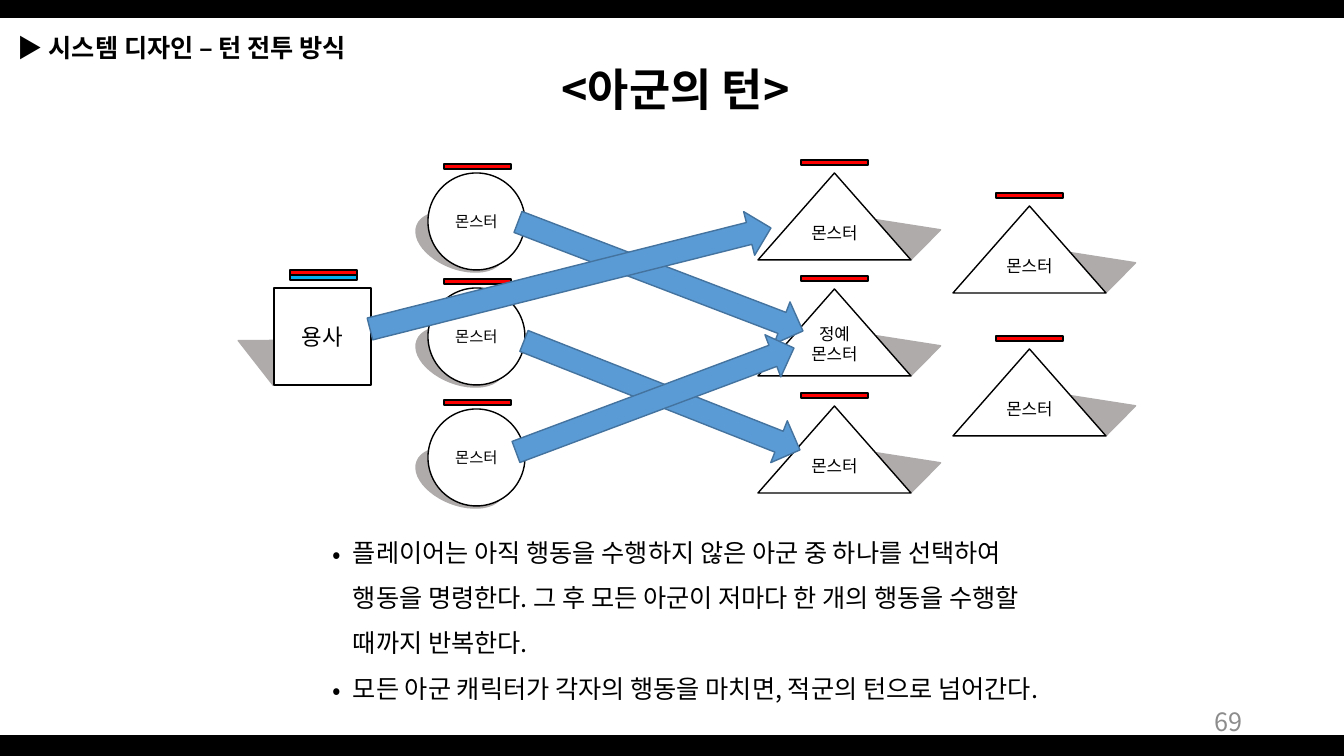
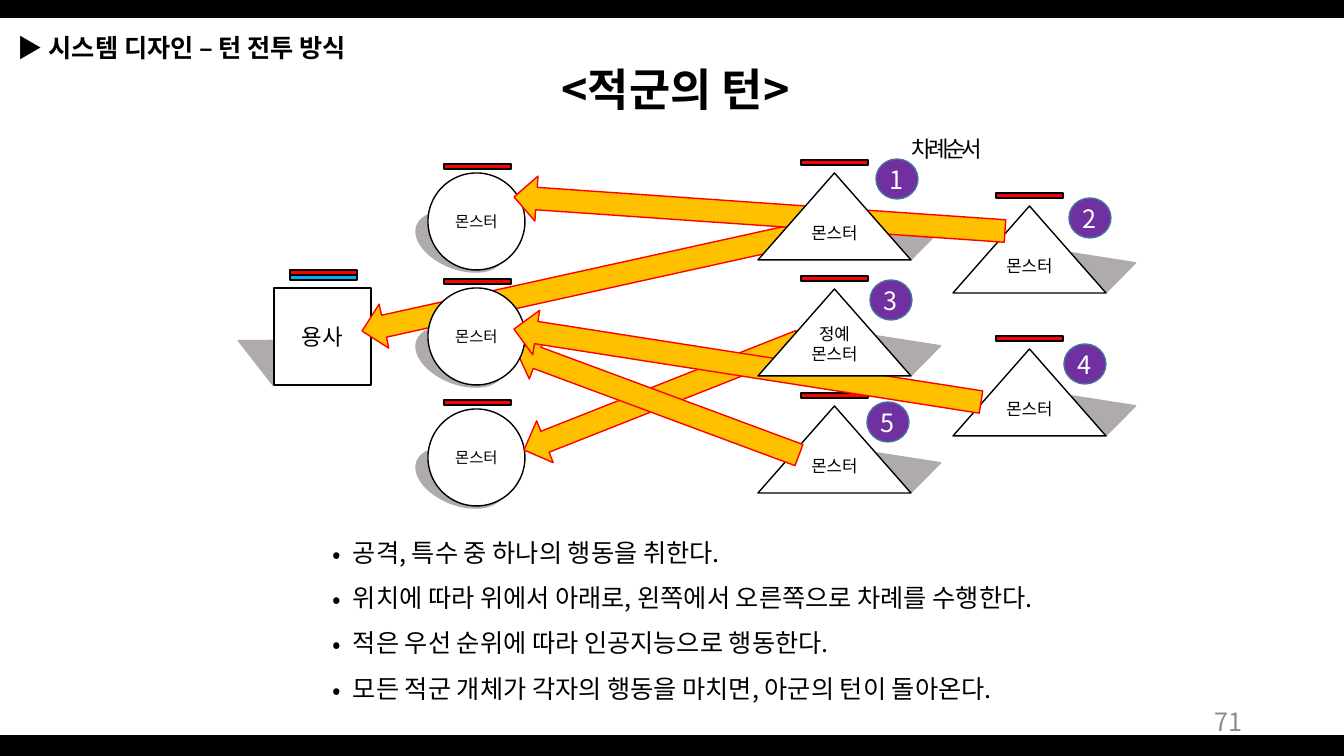
import math

import lxml.etree
import pptx
import pptx.dml.color
import pptx.enum.shapes
import pptx.enum.text
import pptx.oxml.ns
import pptx.util

SHAPE = pptx.enum.shapes.MSO_SHAPE
ALIGN = pptx.enum.text.PP_ALIGN
ANCHOR = pptx.enum.text.MSO_ANCHOR
EMU_PER_PX = 914400 / 100.8
WIDTH, HEIGHT = 1344, 756
FONT = "Noto Sans CJK KR"
BLACK, WHITE, GREY, SHADOW = "000000", "FFFFFF", "8C8C8C", "AFABAB"
RED, SKY, BLUE, NAVY, ORANGE, PURPLE = "FF0000", "00B0F0", "5B9BD5", "43739E", "FFC000", "7030A0"

SECTION = "시스템 디자인 – 턴 전투 방식"
BANDS = [(0, 0, WIDTH, 18), (0, 735, WIDTH, 21)]
ARROW_HEIGHT = 45
BULLET_INDENT = 20

# Offsets of shadows and bars are measured from the unit's top left corner.
KINDS = {
    "hero": {"shape": SHAPE.RECTANGLE, "size": (97, 97), "text_size": 16,
             "shadow": (SHAPE.ISOSCELES_TRIANGLE, (-26, 24, 73, 57), 322, 0),
             "bars": [(16, -18, RED), (16, -13, SKY)]},
    "ally": {"shape": SHAPE.OVAL, "size": (97, 97), "text_size": 11,
             "shadow": (SHAPE.OVAL, (-14, 42, 92, 54), 21.1, None),
             "bars": [(16, -9, RED)]},
    "enemy": {"shape": SHAPE.ISOSCELES_TRIANGLE, "size": (153, 87), "text_size": 12,
              "shadow": (SHAPE.ISOSCELES_TRIANGLE, (125, 32, 53, 42), 49, 0.94),
              "bars": [(43, -13, RED)]},
}
BAR_SIZE = (67, 5)

# name: kind, left, top, label, room kept free below the label
UNITS = {
    "hero": ("hero", 274, 288, "용사", 0),
    "ally top": ("ally", 428, 173, "몬스터", 0),
    "ally middle": ("ally", 428, 288, "몬스터", 0),
    "ally bottom": ("ally", 428, 409, "몬스터", 0),
    "enemy top": ("enemy", 758, 173, "몬스터", 10),
    "elite": ("enemy", 758, 289, "정예\v몬스터", 20),
    "enemy bottom": ("enemy", 758, 406, "몬스터", 10),
    "back top": ("enemy", 953, 206, "몬스터", 10),
    "back bottom": ("enemy", 953, 349, "몬스터", 10),
}

# Layers run from back to front: a unit's name, or an arrow's tail and head.
SLIDES = [
    {
        "title": "아군의 턴",
        "number": "69",
        "arrow_colours": (BLUE, NAVY),
        "layers": [
            *UNITS,
            ((518, 222), (803, 331)),
            ((370, 329), (771, 228)),
            ((524, 341), (800, 450)),
            ((516, 452), (794, 348)),
        ],
        "badges": [],
        "notes": [],
        "bullets": [
            "플레이어는 아직 행동을 수행하지 않은 아군 중 하나를 선택하여\v"
            "행동을 명령한다. 그 후 모든 아군이 저마다 한 개의 행동을 수행할\v"
            "때까지 반복한다.",
            "모든 아군 캐릭터가 각자의 행동을 마치면, 적군의 턴으로 넘어간다.",
        ],
    },
    {
        "title": "적군의 턴",
        "number": "71",
        "arrow_colours": (ORANGE, RED),
        "layers": [
            "hero", "ally top", "ally bottom", "enemy bottom", "back top", "back bottom",
            ((788, 237), (362, 331)),
            ((1005, 231), (514, 197)),
            ((800, 341), (524, 450)),
            ((799, 455), (516, 350)),
            "enemy top", "ally middle",
            ((981, 402), (514, 329)),
            "elite",
        ],
        "badges": [(876, 159), (1069, 198), (870, 280), (1064, 344), (867, 402)],
        "notes": [("차례 순서", (898, 130, 98, 37))],
        "bullets": [
            "공격, 특수 중 하나의 행동을 취한다.",
            "위치에 따라 위에서 아래로, 왼쪽에서 오른쪽으로 차례를 수행한다.",
            "적은 우선 순위에 따라 인공지능으로 행동한다.",
            "모든 적군 개체가 각자의 행동을 마치면, 아군의 턴이 돌아온다.",
        ],
    },
]


def px(length):
    return pptx.util.Emu(round(length * EMU_PER_PX))


def colour(value):
    return pptx.dml.color.RGBColor.from_string(value)


def add_run(paragraph, text, size, fill=BLACK, bold=False, spacing=0):
    """Append text, with line breaks at vertical tabs; spacing is in points."""
    for index, line in enumerate(text.split("\v")):
        if index:
            paragraph.add_line_break()
        run = paragraph.add_run()
        run.text = line
        formats = {"size": pptx.util.Pt(size), "bold": bold, "name": FONT}
        for name, value in formats.items():
            setattr(run.font, name, value)
        run.font.color.rgb = colour(fill)
        properties = run.font._element
        east_asian = lxml.etree.SubElement(properties, pptx.oxml.ns.qn("a:ea"))
        east_asian.set("typeface", FONT)
        if spacing:
            properties.set("spc", str(spacing * 100))


def add_shape(slide, preset, box, fill, line=None, rotation=0):
    shape = slide.shapes.add_shape(preset, *map(px, box))
    shape.shadow.inherit = False
    shape.rotation = rotation
    shape.fill.solid()
    shape.fill.fore_color.rgb = colour(fill)
    if line:
        shape.line.color.rgb = colour(line)
        shape.line.width = pptx.util.Pt(1)
    else:
        shape.line.fill.background()
    return shape


def add_label(shape, text, size, fill=BLACK, room_below=0):
    """Centre a label in a shape, above some free room."""
    frame = shape.text_frame
    formats = {"margin_left": 0, "margin_right": 0, "margin_top": 0,
               "margin_bottom": px(room_below), "word_wrap": True,
               "vertical_anchor": ANCHOR.MIDDLE}
    for name, value in formats.items():
        setattr(frame, name, value)
    frame.paragraphs[0].alignment = ALIGN.CENTER
    add_run(frame.paragraphs[0], text, size, fill)


def add_text_box(slide, box, alignment=ALIGN.LEFT, anchor=ANCHOR.TOP):
    """Return the text frame of a new wrapping text box."""
    frame = slide.shapes.add_textbox(*map(px, box)).text_frame
    frame.word_wrap = True
    frame.vertical_anchor = anchor
    frame.paragraphs[0].alignment = alignment
    return frame


def add_bullets(slide, bullets):
    frame = add_text_box(slide, (323, 517, 814, 194))
    for index, text in enumerate(bullets):
        paragraph = frame.add_paragraph() if index else frame.paragraphs[0]
        properties = paragraph._p.get_or_add_pPr()
        properties.set("marL", str(px(BULLET_INDENT)))
        properties.set("indent", str(-px(BULLET_INDENT)))
        for tag, attribute, value in (("a:buFont", "typeface", FONT), ("a:buChar", "char", "•")):
            element = lxml.etree.SubElement(properties, pptx.oxml.ns.qn(tag))
            element.set(attribute, value)
        paragraph.line_spacing = 1.5
        add_run(paragraph, text, 18)


def add_frame(slide, title, number):
    """Draw the bands, section name, title and page number."""
    for band in BANDS:
        add_shape(slide, SHAPE.RECTANGLE, band, BLACK)
    heading = add_text_box(slide, (332, 57, 687, 65), ALIGN.CENTER).paragraphs[0]
    for text, spacing in (("<", -3), (title, 0), (">", -3)):
        add_run(heading, text, 32, bold=True, spacing=spacing)
    page = add_text_box(slide, (950, 701, 302, 40), ALIGN.RIGHT, ANCHOR.MIDDLE).paragraphs[0]
    add_run(page, number, 18, GREY)
    section = add_text_box(slide, (8, 27, 420, 40)).paragraphs[0]
    add_run(section, "▶ ", 18)
    add_run(section, SECTION, 18, bold=True)


def add_unit_shadow(slide, unit):
    kind, left, top, _, _ = unit
    preset, (dx, dy, width, height), rotation, apex = KINDS[kind]["shadow"]
    box = (left + dx, top + dy, width, height)
    shadow = add_shape(slide, preset, box, SHADOW, SHADOW, rotation)
    if apex is not None:
        shadow.adjustments[0] = apex


def add_unit(slide, unit):
    """Draw a unit with its label and its bars."""
    kind, left, top, label, room_below = unit
    style = KINDS[kind]
    body = add_shape(slide, style["shape"], (left, top, *style["size"]), WHITE, BLACK)
    add_label(body, label, style["text_size"], room_below=room_below)
    for dx, dy, fill in style["bars"]:
        add_shape(slide, SHAPE.RECTANGLE, (left + dx, top + dy, *BAR_SIZE), fill, BLACK)


def add_block_arrow(slide, tail, head, fill, line):
    length = math.dist(tail, head)
    angle = math.degrees(math.atan2(head[1] - tail[1], head[0] - tail[0]))
    left = (tail[0] + head[0] - length) / 2
    top = (tail[1] + head[1] - ARROW_HEIGHT) / 2
    add_shape(slide, SHAPE.RIGHT_ARROW, (left, top, length, ARROW_HEIGHT),
              fill, line, angle % 360)


def build_slide(presentation, content):
    slide = presentation.slides.add_slide(presentation.slide_layouts[6])
    add_frame(slide, content["title"], content["number"])
    add_bullets(slide, content["bullets"])
    for unit in UNITS.values():
        add_unit_shadow(slide, unit)
    for layer in content["layers"]:
        if layer in UNITS:
            add_unit(slide, UNITS[layer])
        else:
            add_block_arrow(slide, *layer, *content["arrow_colours"])
    for order, (left, top) in enumerate(content["badges"], 1):
        badge = add_shape(slide, SHAPE.OVAL, (left, top, 42, 40), PURPLE, NAVY)
        add_label(badge, str(order), 18, WHITE)
    for text, box in content["notes"]:
        add_run(add_text_box(slide, box, ALIGN.CENTER).paragraphs[0], text, 16, spacing=-3)


def main():
    presentation = pptx.Presentation()
    presentation.slide_width = px(WIDTH)
    presentation.slide_height = px(HEIGHT)
    for content in SLIDES:
        build_slide(presentation, content)
    presentation.save("out.pptx")


if __name__ == "__main__":
    main()
